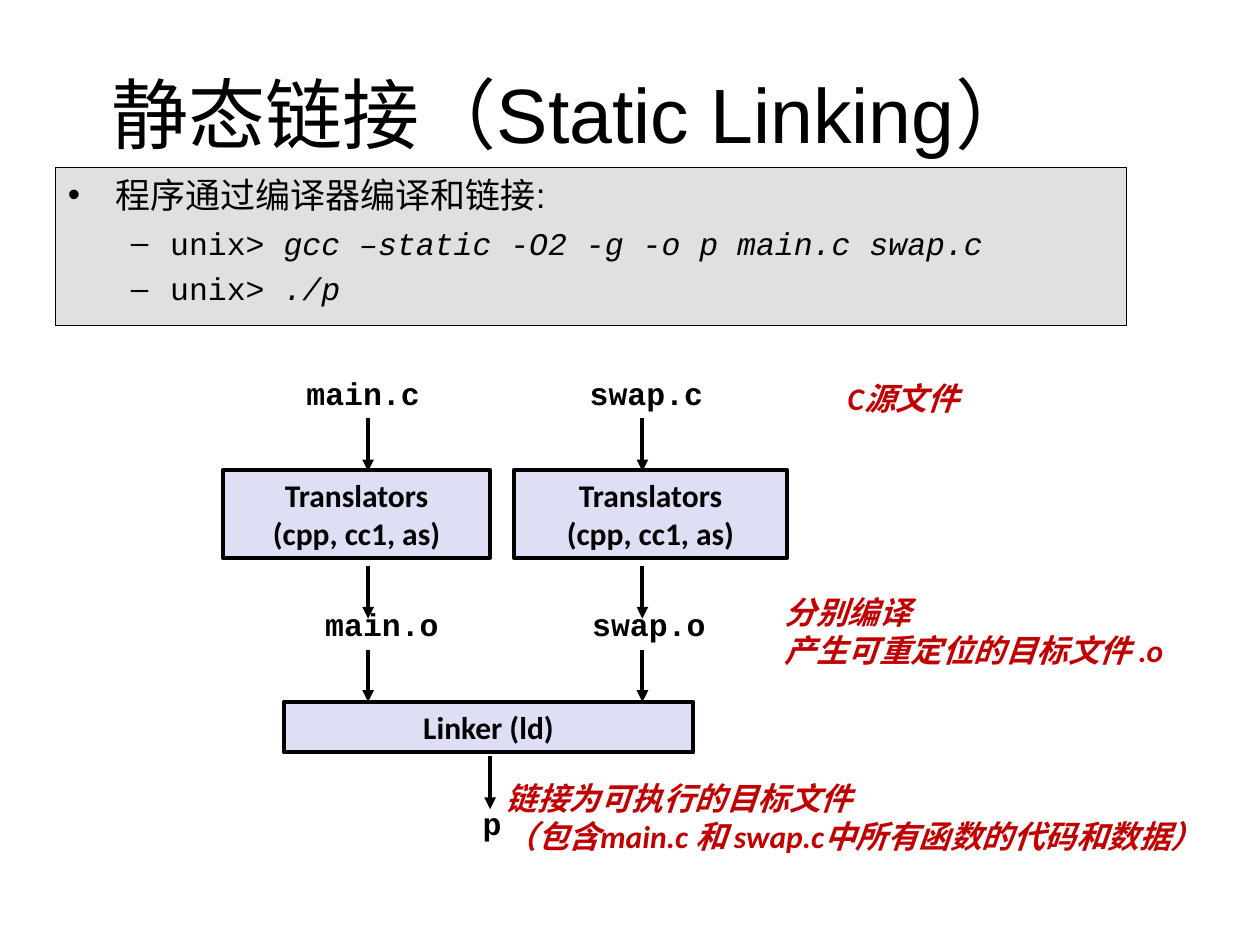
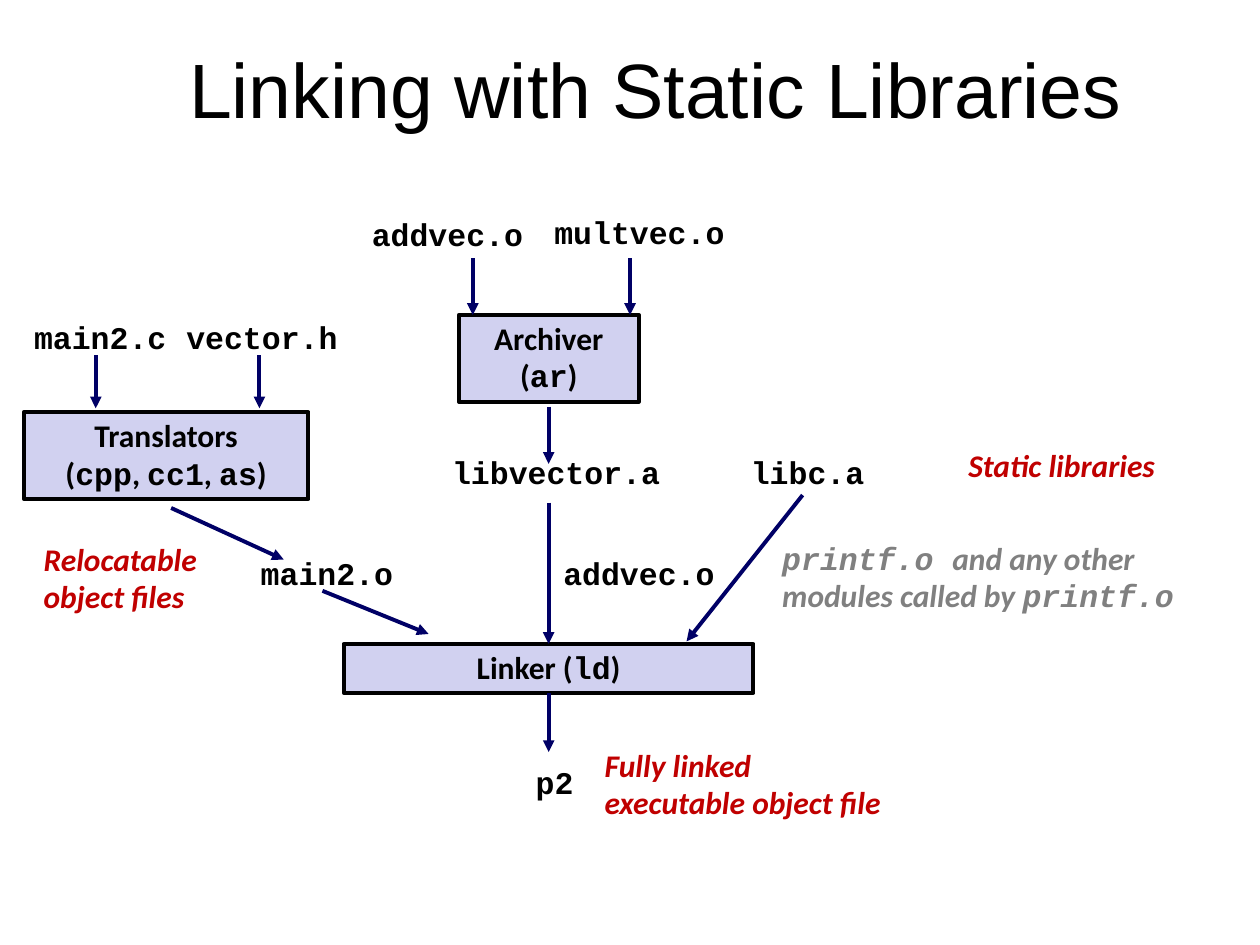
from dataclasses import dataclass

from lxml import etree
from pptx import Presentation
from pptx import util as u
from pptx.dml.color import RGBColor
from pptx.enum import shapes, text
from pptx.oxml import ns


@dataclass(frozen=True)
class Theme:
    sans: str = "Arial"
    label: str = "Calibri"
    code: str = "Courier New"
    black: str = "000000"
    red: str = "C00000"
    gray: str = "808080"
    panel: str = "E0E0E0"
    title_pt: int = 44
    lead_pt: int = 20
    text_pt: int = 18
    rule_pt: float = 2.25
    thin_pt: float = 0.75
    char_cm: float = 0.38
    inset_cm: float = 0.26


T = Theme()
LEFT, CENTER = text.PP_ALIGN.LEFT, text.PP_ALIGN.CENTER

MAIN_X, SWAP_X = 7.42, 12.95
SOURCE_ROWS = [(8.43, 9.5), (11.4, 12.47), (13.11, 14.15)]

COMMANDS = {
    "area": (1.12, 3.38, 21.59, 3.18),
    "lines": [
        (0, "程序通过编译器编译和链接:"),
        (1, "unix> `gcc –static -O2 -g -o p main.c swap.c`"),
        (1, "unix> `./p`"),
    ],
}

SLIDES = [
    {
        "title": ("静态链接（Static Linking）", (0.99, 1.22, 21.08, 2.11)),
        "commands": COMMANDS,
        "fill": "DEDFF5", "arrow": T.black, "spacing": 1.0, "file_spacing": 1.0,
        "steps": [
            ("Translators\n(cpp, cc1, as)", (4.5, 9.47, 5.38, 1.78)),
            ("Translators\n(cpp, cc1, as)", (10.36, 9.47, 5.51, 1.78)),
            ("Linker (ld)", (5.72, 14.15, 8.26, 1.02)),
        ],
        "files": [
            ("main.c", 7.32, 7.42), ("swap.c", 13.03, 7.42),
            ("main.o", 7.7, 12.07), ("swap.o", 13.08, 12.07),
            ("p", 9.92, 16.08),
        ],
        "arrows": [((x, y1), (x, y2)) for x in (MAIN_X, SWAP_X) for y1, y2 in SOURCE_ROWS]
        + [((9.88, 15.24), (9.88, 16.31))],
        "notes": [
            ("C源文件", T.red, (16.84, 7.52, 2.9, 1.02)),
            ("分别编译\n产生可重定位的目标文件 .o", T.red, (15.57, 11.84, 8.28, 1.78)),
            ("链接为可执行的目标文件\n（包含main.c 和 swap.c中所有函数的代码和数据）", T.red,
             (9.95, 15.58, 15.14, 1.78)),
        ],
    },
    {
        "title": ("Linking with Static Libraries", (1.12, 0.67, 24.21, 2.18)),
        "fill": "D1D1F0", "arrow": "000066", "spacing": 0.98, "file_spacing": 0.94,
        "steps": [
            ("Translators\n(`cpp`, `cc1`, `as`)", (0.48, 8.31, 5.74, 1.75)),
            ("Archiver\n(`ar`)", (9.25, 6.35, 3.63, 1.75)),
            ("Linker (`ld`)", (6.93, 12.98, 8.26, 0.99)),
        ],
        "files": [
            ("addvec.o", 9.02, 4.27), ("multvec.o", 12.89, 4.24),
            ("main2.c", 2.02, 6.35), ("vector.h", 5.28, 6.35),
            ("libvector.a", 11.21, 9.07), ("libc.a", 16.28, 9.07),
            ("main2.o", 6.59, 11.1), ("addvec.o", 12.88, 11.1),
            ("p2", 11.18, 15.32),
        ],
        "arrows": [
            ((9.53, 5.21), (9.53, 6.35)), ((12.7, 5.21), (12.7, 6.35)),
            ((1.93, 7.16), (1.93, 8.23)), ((5.23, 7.16), (5.23, 8.23)),
            ((11.06, 8.2), (11.06, 9.35)), ((11.06, 10.13), (11.06, 12.98)),
            ((3.45, 10.24), (5.72, 11.28)), ((6.5, 11.91), (8.64, 12.78)),
            ((16.18, 9.98), (13.84, 12.93)), ((11.06, 13.97), (11.06, 15.16)),
        ],
        "notes": [
            ("Static libraries", T.red, (19.27, 8.9, 4.27, 1.02)),
            ("Relocatable\nobject files", T.red, (0.63, 10.8, 3.61, 1.75)),
            ("`printf.o `and any other\nmodules called by `printf.o`", T.gray,
             (15.52, 10.78, 8.79, 1.73)),
            ("Fully linked\nexecutable object file", T.red, (11.94, 14.95, 6.1, 1.75)),
        ],
    },
]


def rgb(value):
    return RGBColor.from_string(value)


def cm(values):
    return [u.Cm(v) for v in values]


def style(r, font, size, color=T.black, bold=False, italic=False):
    r.font.name, r.font.size = font, u.Pt(size)
    r.font.bold, r.font.italic = bold, italic
    r.font.color.rgb = rgb(color)


def add_marked_runs(p, line):
    for i, part in enumerate(line.split("`")):
        if part:
            r = p.add_run()
            r.text = part
            yield r, i % 2 == 1


def write(sp, content, align, spacing=1.0, font=T.label, size=T.text_pt,
          wrap=False, **look):
    tf = sp.text_frame
    tf.word_wrap = wrap
    if not wrap:
        tf.auto_size = text.MSO_AUTO_SIZE.SHAPE_TO_FIT_TEXT
    for i, line in enumerate(content.split("\n")):
        p = tf.paragraphs[0] if i == 0 else tf.add_paragraph()
        p.alignment, p.line_spacing = align, spacing
        for r, marked in add_marked_runs(p, line):
            style(r, T.code if marked else font, size, **look)


def add_rect(s, area, fill, width):
    sp = s.shapes.add_shape(shapes.MSO_SHAPE.RECTANGLE, *cm(area))
    sp.shadow.inherit = False
    sp.fill.solid()
    sp.fill.fore_color.rgb = rgb(fill)
    sp.line.color.rgb = rgb(T.black)
    sp.line.width = u.Pt(width)
    return sp


def add_title(s, content, area):
    sp = s.shapes.add_textbox(*cm(area))
    sp.text_frame.vertical_anchor = text.MSO_ANCHOR.MIDDLE
    write(sp, content, CENTER, font=T.sans, size=T.title_pt, wrap=True)


def add_commands(s, area, lines):
    tf = add_rect(s, area, T.panel, T.thin_pt).text_frame
    tf.word_wrap = True
    tf.vertical_anchor = text.MSO_ANCHOR.TOP
    levels = [("•", 0.95, 0.95, T.sans, T.lead_pt), ("–", 2.06, 0.79, T.code, T.text_pt)]
    for i, (level, line) in enumerate(lines):
        mark, margin, hang, font, size = levels[level]
        p = tf.paragraphs[0] if i == 0 else tf.add_paragraph()
        p.level, p.alignment = level, LEFT
        pPr = p._p.get_or_add_pPr()
        pPr.set("marL", str(u.Cm(margin)))
        pPr.set("indent", str(-u.Cm(hang)))
        etree.SubElement(pPr, ns.qn("a:buFont")).set("typeface", T.sans)
        etree.SubElement(pPr, ns.qn("a:buChar")).set("char", mark)
        if i:
            p.space_before = u.Pt(4.5)
        for r, marked in add_marked_runs(p, line):
            style(r, font, size, italic=marked)


def find_side(point, steps):
    for sp, (x, y, w, h) in steps:
        sides = [(x + w / 2, y), (x, y + h / 2), (x + w / 2, y + h), (x + w, y + h / 2)]
        for i, (sx, sy) in enumerate(sides):
            if max(abs(sx - point[0]), abs(sy - point[1])) < 0.05:
                return sp, i
    return None


def add_arrow(s, start, end, color, steps):
    c = s.shapes.add_connector(shapes.MSO_CONNECTOR.STRAIGHT, *cm(start + end))
    for point, join in ((start, c.begin_connect), (end, c.end_connect)):
        side = find_side(point, steps)
        if side:
            join(*side)
    c.line.color.rgb = rgb(color)
    c.line.width = u.Pt(T.rule_pt)
    etree.SubElement(c.line._get_or_add_ln(), ns.qn("a:tailEnd")).set("type", "triangle")
    etree.SubElement(c._element.spPr, ns.qn("a:effectLst"))


def add_file(s, name, center, top, spacing):
    width = len(name) * T.char_cm + 2 * T.inset_cm
    sp = s.shapes.add_textbox(*cm((center - width / 2, top, width, 1)))
    write(sp, name, CENTER, spacing, font=T.code, bold=True)


def build(prs, page):
    s = prs.slides.add_slide(prs.slide_layouts[6])
    add_title(s, *page["title"])
    if "commands" in page:
        add_commands(s, **page["commands"])
    steps = []
    for content, area in page["steps"]:
        sp = add_rect(s, area, page["fill"], T.rule_pt)
        sp.text_frame.vertical_anchor = text.MSO_ANCHOR.TOP
        write(sp, content, CENTER, page["spacing"], wrap=True, bold=True)
        steps.append((sp, area))
    for start, end in page["arrows"]:
        add_arrow(s, start, end, page["arrow"], steps)
    for name, center, top in page["files"]:
        add_file(s, name, center, top, page["file_spacing"])
    for content, color, area in page["notes"]:
        sp = s.shapes.add_textbox(*cm(area))
        write(sp, content, LEFT, page["spacing"], color=color, bold=True, italic=True)


def main():
    prs = Presentation()
    prs.slide_width, prs.slide_height = cm((25.4, 19.05))
    for page in SLIDES:
        build(prs, page)
    prs.save("out.pptx")


if __name__ == "__main__":
    main()
